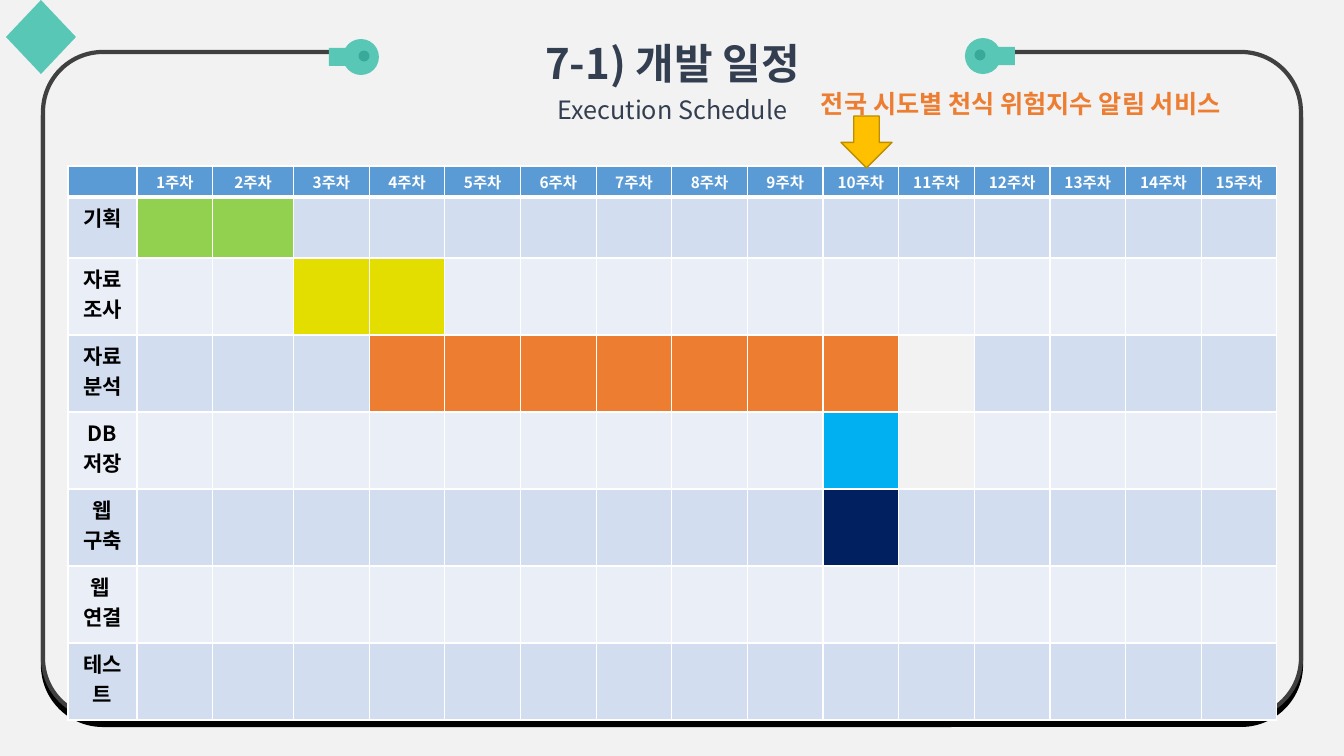
from dataclasses import dataclass
from math import cos, radians, sin

from lxml.etree import SubElement
from pptx import Presentation
from pptx.dml.color import RGBColor as Rgb
from pptx.enum.shapes import MSO_SHAPE as Kind
from pptx.enum.text import MSO_ANCHOR as Anchor, MSO_AUTO_SIZE as Fit, PP_ALIGN as Align
from pptx.oxml.ns import qn
from pptx.util import Emu, Pt

TITLE = "7-1) 개발 일정"
SUB = "Execution Schedule"
NOTE = "전국 시도별 천식 위험지수 알림 서비스"
WEEKS = [f"{n}주차" for n in range(1, 16)]
# label lines, first week, last week, bar colour, weeks left clear
TASKS = [
    (["기획"], 1, 2, "92D050", []),
    (["자료조사"], 3, 4, "E3DE00", []),
    (["자료분석"], 4, 10, "ED7D31", [11]),
    (["DB저장"], 10, 10, "00B0F0", [11]),
    (["웹", "구축"], 10, 10, "002060", []),
    (["웹 ", "연결"], 0, 0, None, []),
    (["테스트"], 0, 0, None, []),
]
# circle centre, side of the arm, hole centre height
PLUGS = [(983, 56, 1, 55), (361, 57, -1, 56)]


@dataclass(frozen=True)
class Theme:
    font: str = "Noto Sans CJK KR"
    back: str = "F2F2F2"
    frame: str = "404040"
    ink: str = "333F50"
    teal: str = "59C7B6"
    hole: str = "39A999"
    note: str = "ED7D31"
    arrow: str = "FFC000"
    edge: str = "BD8E00"
    head: str = "5B9BD5"
    bands: tuple = ("D2DEEF", "EAEFF7")
    white: str = "FFFFFF"
    black: str = "000000"
    title: int = 30
    body: int = 18
    label: int = 15
    week: int = 11


T = Theme()
UNIT = 12192000 / 1344


def px(n):
    return Emu(round(n * UNIT))


def box(*nums):
    return [px(n) for n in nums]


def paint(item, fill, line=None, width=1):
    item.shadow.inherit = False
    item.fill.solid()
    item.fill.fore_color.rgb = Rgb.from_string(fill)
    if line:
        item.line.color.rgb = Rgb.from_string(line)
        item.line.width = Pt(width)
    else:
        item.line.fill.background()
    return item


def write(para, text, size, color, bold=True, align=Align.CENTER):
    para.alignment = align
    run = para.add_run()
    run.text = text
    font = run.font
    font.size, font.bold = Pt(size), bold
    font.color.rgb = Rgb.from_string(color)
    font.name = T.font
    SubElement(font._element, qn("a:ea"), typeface=T.font)


def lines(frame, texts):
    """Yield one paragraph of the frame for each text."""
    for n, text in enumerate(texts):
        yield (frame.add_paragraph() if n else frame.paragraphs[0]), text


def rule(cell, base):
    """Draw white borders, the lower one base points thick."""
    props = cell._tc.get_or_add_tcPr()
    for side, width in zip("LRTB", (1, 1, 1, base)):
        line = SubElement(props, qn(f"a:ln{side}"), w=str(Pt(width)))
        fill = SubElement(line, qn("a:solidFill"))
        SubElement(fill, qn("a:srgbClr"), val=T.white)


def shade(cell, color):
    if color:
        cell.fill.solid()
        cell.fill.fore_color.rgb = Rgb.from_string(color)
    else:
        cell.fill.background()


def add_frame(slide):
    frame = slide.shapes.add_shape(Kind.ROUNDED_RECTANGLE, *box(43, 52, 1258, 666))
    frame.adjustments[0] = 0.09
    paint(frame, T.back, T.frame, 3)
    effects = frame._element.spPr.find(qn("a:effectLst"))
    shadow = SubElement(effects, qn("a:outerShdw"), blurRad="0",
                        dist=str(Pt(5)), dir="5400000", algn="t", rotWithShape="0")
    SubElement(shadow, qn("a:srgbClr"), val=T.black)
    return frame


def add_title(slide):
    title = slide.shapes.title
    title.left, title.top, title.width, title.height = box(335, 13, 675, 126)
    title.fill.solid()
    title.fill.fore_color.rgb = Rgb.from_string(T.back)
    frame = title.text_frame
    frame.auto_size, frame.vertical_anchor = Fit.NONE, Anchor.MIDDLE
    for para, text in lines(frame, [TITLE, SUB]):
        main = text == TITLE
        write(para, text, T.title if main else T.body, T.ink, main)
        para.line_spacing = 1.2
        para.space_before = Pt(0)
    return title


def add_plug(slide, x, y, side, mid):
    """Draw a round plug with a square arm on one side and a hole."""
    group = slide.shapes.add_group_shape().shapes
    arc = [(x + side * 18 * cos(radians(a)), y + 18 * sin(radians(a)))
           for a in range(30, 331, 15)]
    arm = [(x + side * 32, y - 9), (x + side * 32, y + 9)]
    pts = [box(*p) for p in arc + arm]
    path = group.build_freeform(*pts[0], scale=1.0)
    path.add_line_segments(pts[1:], close=True)
    paint(path.convert_to_shape(), T.teal)
    hole = box(x - side * 3 - 5.5, mid - 5.5, 11, 11)
    paint(group.add_shape(Kind.OVAL, *hole), T.hole)


def add_note(slide):
    frame = slide.shapes.add_textbox(*box(811, 83, 473, 40)).text_frame
    frame.word_wrap = False
    write(frame.paragraphs[0], NOTE, T.body, T.note, align=Align.LEFT)


def add_plan(slide):
    wide, first, second = 1209, 69, 81
    each = (wide - first - second) / 14
    cols = [first, each, second] + [each] * 13
    rows = [31, 61] + [77] * 6
    table = slide.shapes.add_table(len(rows), len(cols),
                                   *box(68, 166, wide, sum(rows))).table
    for col, size in zip(table.columns, cols):
        col.width = px(size)
    for row, size in zip(table.rows, rows):
        row.height = px(size)

    for n, text in enumerate([""] + WEEKS):
        cell = table.cell(0, n)
        rule(cell, 3)
        shade(cell, T.head)
        cell.margin_top, cell.margin_bottom = px(5), px(3)
        para = cell.text_frame.paragraphs[0]
        if text:
            write(para, text, T.week, T.white)
        else:
            SubElement(para._p, qn("a:endParaRPr"), sz=str(T.week * 100))

    for r, (label, start, end, color, clear) in enumerate(TASKS, 1):
        for n in range(len(cols)):
            cell = table.cell(r, n)
            rule(cell, 1)
            band = None if n in clear else T.bands[(r - 1) % 2]
            shade(cell, color if n and start <= n <= end else band)
        for para, text in lines(table.cell(r, 0).text_frame, label):
            write(para, text, T.label, T.black)


def main():
    deck = Presentation()
    deck.slide_width, deck.slide_height = box(1344, 756)
    slide = deck.slides.add_slide(deck.slide_layouts[5])
    back = slide.background.fill
    back.solid()
    back.fore_color.rgb = Rgb.from_string(T.back)

    title = add_title(slide)
    title._element.addprevious(add_frame(slide)._element)
    for plug in PLUGS:
        add_plug(slide, *plug)
    paint(slide.shapes.add_shape(Kind.DIAMOND, *box(6, 0, 70, 74)), T.teal)
    add_note(slide)
    add_plan(slide)
    arrow = slide.shapes.add_shape(Kind.DOWN_ARROW, *box(841, 116, 51, 52))
    paint(arrow, T.arrow, T.edge)
    deck.save("out.pptx")


if __name__ == "__main__":
    main()
